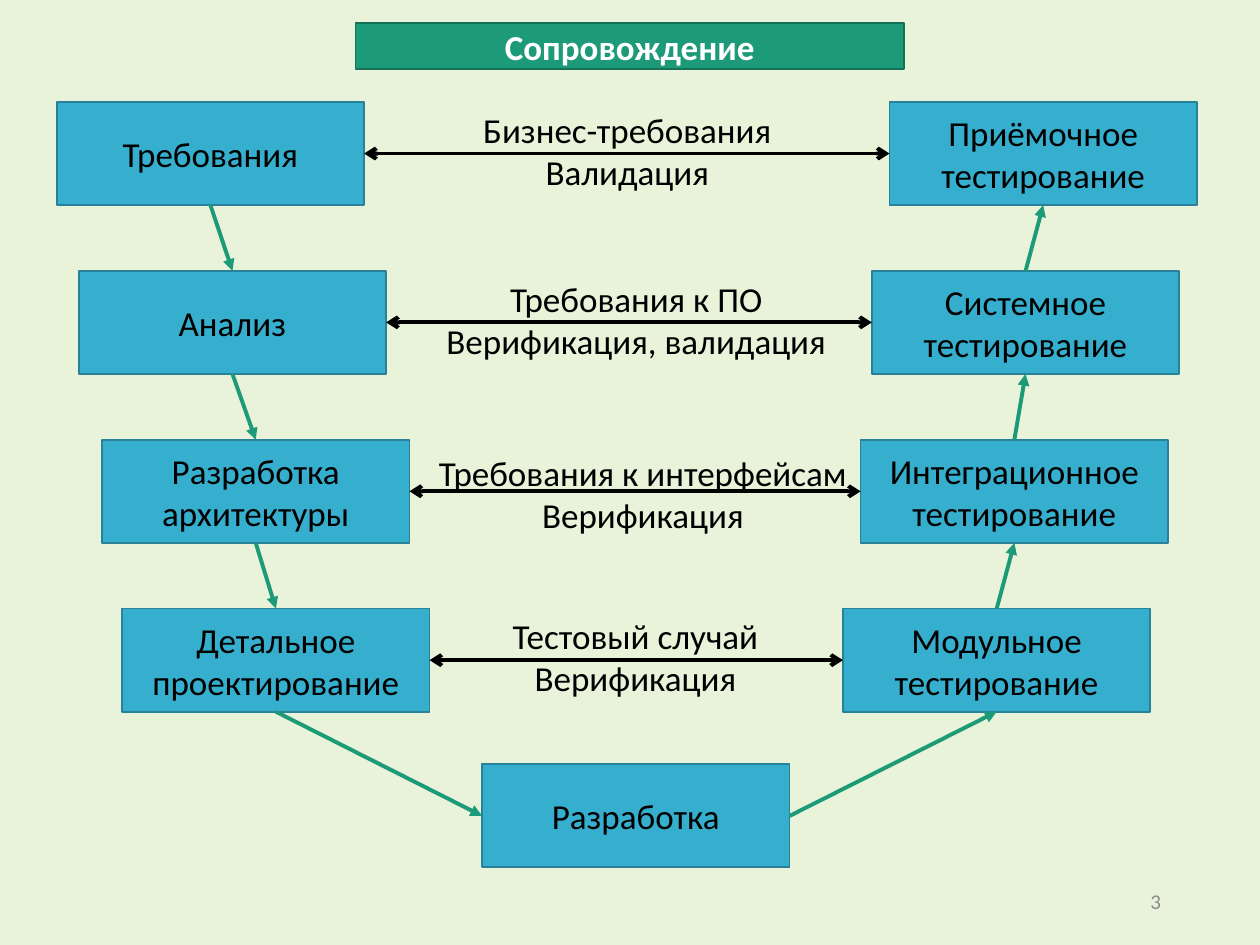
from lxml import etree
from pptx import Presentation
from pptx.dml.color import RGBColor
from pptx.enum.shapes import MSO_CONNECTOR, MSO_SHAPE
from pptx.enum.text import MSO_ANCHOR, MSO_AUTO_SIZE, PP_ALIGN
from pptx.oxml.ns import qn
from pptx.util import Pt

STRAIGHT, RECTANGLE = MSO_CONNECTOR.STRAIGHT, MSO_SHAPE.RECTANGLE
CENTER, RIGHT = PP_ALIGN.CENTER, PP_ALIGN.RIGHT
MIDDLE = MSO_ANCHOR.MIDDLE
FIT_SHAPE = MSO_AUTO_SIZE.SHAPE_TO_FIT_TEXT
TOP_SIDE, LEFT_SIDE, BOTTOM_SIDE, RIGHT_SIDE = range(4)

FONT = "Calibri"
BACKGROUND, BLUE, BLUE_EDGE = "E8F3DA", "36AFCE", "288198"
GREEN, GREEN_EDGE = "1D9A78", "157259"
BLACK, WHITE, GRAY = "000000", "FFFFFF", "8C8C8C"

# Content: each level of the V-model, from top to bottom
# (stage, left), (testing, left), (link lines, left, width, shift down)
LEVELS = [
    (("Требования", 32.4), ("Приёмочное тестирование", 508.3),
     (("Бизнес-требования", "Валидация"), 267.8, 181.4, 0)),
    (("Анализ", 45), ("Системное тестирование", 498.2),
     (("Требования к ПО", "Верификация, валидация"), 247, 233.3, 0)),
    (("Разработка архитектуры", 58.3), ("Интеграционное тестирование", 491.8),
     (("Требования к интерфейсам", "Верификация"), 242.6, 249.8, 2.9)),
    (("Детальное проектирование", 69.8), ("Модульное тестирование", 481.7),
     (("Тестовый случай", "Верификация"), 285.1, 156.2, 0)),
]
DEVELOPMENT = ("Разработка", 275.5)
MAINTENANCE = "Сопровождение"
PAGE_NUMBER = "3"

FIRST_TOP, LEVEL_STEP, DEVELOPMENT_TOP = 58.3, 96.5, 436.8
BOX_WIDTH, BOX_HEIGHT, LINK_HEIGHT = 175.7, 58.9, 55.7


def color(value):
    return RGBColor.from_string(value)


def write(frame, lines, ink=BLACK, size=20, bold=False, align=CENTER):
    frame.text = "\n".join(lines)
    for paragraph in frame.paragraphs:
        paragraph.alignment = align
        font = paragraph.font
        font.name, font.size, font.bold = FONT, Pt(size), bold
        font.color.rgb = color(ink)


def add_box(text, left, top, width=BOX_WIDTH, height=BOX_HEIGHT,
            fill=BLUE, edge=BLUE_EDGE, **style):
    box = slide.shapes.add_shape(RECTANGLE, Pt(left), Pt(top), Pt(width), Pt(height))
    box.shadow.inherit = False
    box.fill.solid()
    box.fill.fore_color.rgb = color(fill)
    box.line.color.rgb = color(edge)
    box.line.width = Pt(1)
    box.text_frame.word_wrap = True
    box.text_frame.vertical_anchor = MIDDLE
    write(box.text_frame, [text], **style)
    return box


def add_arrow(start, start_side, end, end_side, ink=GREEN, **heads):
    arrow = slide.shapes.add_connector(STRAIGHT, 0, 0, 0, 0)
    arrow.begin_connect(start, start_side)
    arrow.end_connect(end, end_side)
    arrow.line.color.rgb = color(ink)
    arrow.line.width = Pt(2.25)
    properties = arrow.line._get_or_add_ln()
    for end_name, head in heads.items():
        etree.SubElement(properties, qn(f"a:{end_name}"), type=head)
    etree.SubElement(arrow._element.spPr, qn("a:effectLst"))


prs = Presentation()
prs.slide_width, prs.slide_height = Pt(720), Pt(540)
slide = prs.slides.add_slide(prs.slide_layouts[6])
slide.background.fill.solid()
slide.background.fill.fore_color.rgb = color(BACKGROUND)

# Maintenance banner
add_box(MAINTENANCE, 203.2, 13, 313.4, 26.6, GREEN, GREEN_EDGE, ink=WHITE, bold=True)

# Levels: stage, testing and the link between them
stages, tests = [], []
for row, (stage, testing, link) in enumerate(LEVELS):
    top = FIRST_TOP + row * LEVEL_STEP
    stages.append(add_box(*stage, top))
    tests.append(add_box(*testing, top))
    add_arrow(stages[-1], RIGHT_SIDE, tests[-1], LEFT_SIDE, BLACK,
              headEnd="arrow", tailEnd="arrow")
    lines, left, width, shift = link
    label = slide.shapes.add_textbox(Pt(left), Pt(top + shift), Pt(width), Pt(LINK_HEIGHT))
    label.text_frame.word_wrap = False
    label.text_frame.auto_size = FIT_SHAPE
    write(label.text_frame, lines)

# Development at the foot of the V
development = add_box(*DEVELOPMENT, DEVELOPMENT_TOP)

# Path down the stages and up the tests
for upper, lower in zip(stages, stages[1:]):
    add_arrow(upper, BOTTOM_SIDE, lower, TOP_SIDE, tailEnd="triangle")
for upper, lower in zip(tests, tests[1:]):
    add_arrow(lower, TOP_SIDE, upper, BOTTOM_SIDE, tailEnd="triangle")
add_arrow(stages[-1], BOTTOM_SIDE, development, LEFT_SIDE, tailEnd="triangle")
add_arrow(development, RIGHT_SIDE, tests[-1], BOTTOM_SIDE, tailEnd="triangle")

# Page number
page = slide.shapes.add_textbox(Pt(508.5), Pt(500.5), Pt(162), Pt(28.75))
page.text_frame.word_wrap = True
page.text_frame.vertical_anchor = MIDDLE
write(page.text_frame, [PAGE_NUMBER], GRAY, 12, align=RIGHT)

prs.save("out.pptx")
